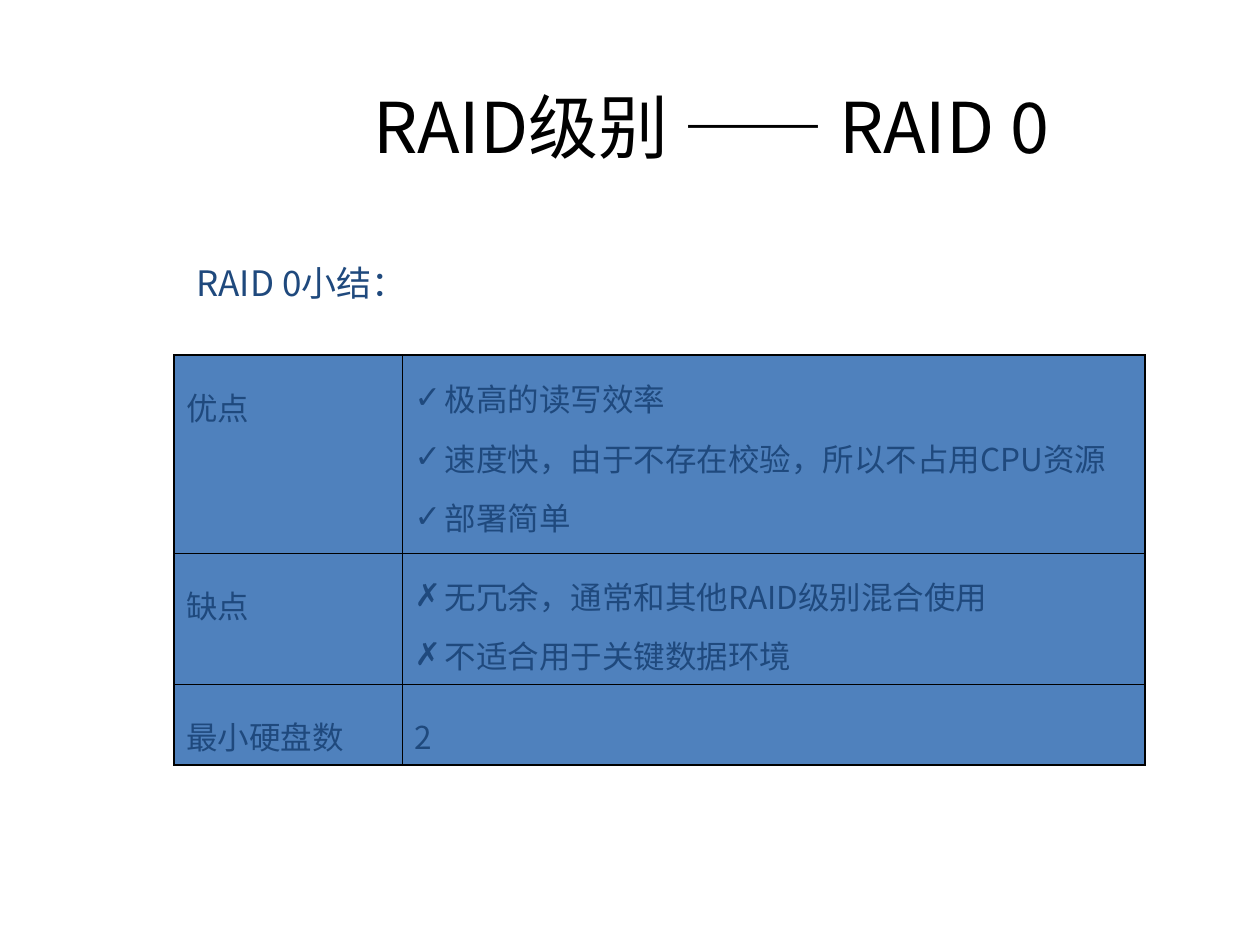
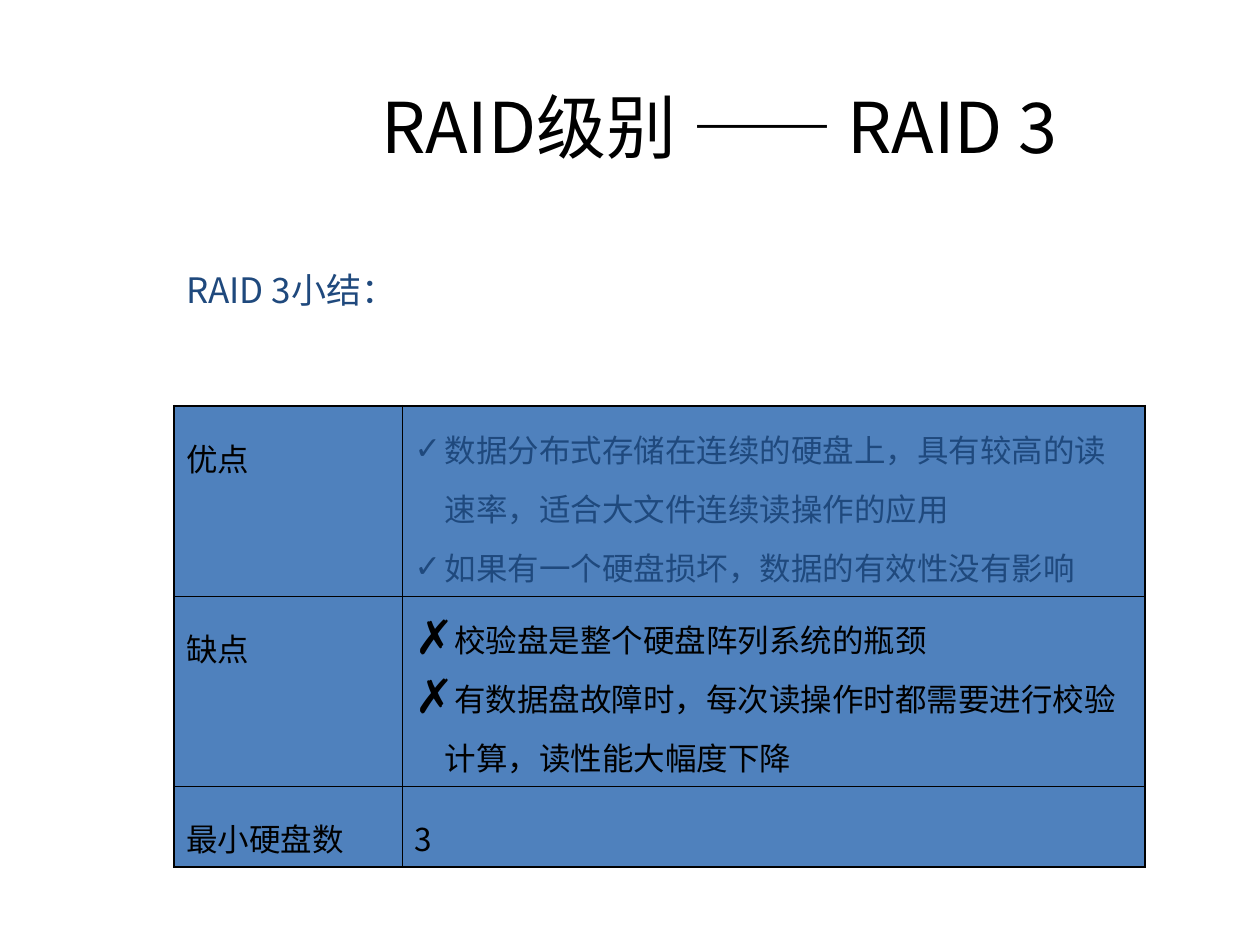
from pptx import Presentation
from pptx.dml.color import RGBColor
from pptx.enum.text import MSO_ANCHOR, PP_ALIGN
from pptx.oxml.ns import qn
from pptx.util import Inches, Pt
from lxml import etree

BLACK = RGBColor(0x00, 0x00, 0x00)
NAVY = RGBColor(0x1F, 0x49, 0x7D)
BLUE = RGBColor(0x4F, 0x81, 0xBD)
CJK_FONT = "Noto Sans CJK SC"
LATIN_FONT = "Calibri"
CENTER = PP_ALIGN.CENTER
MIDDLE = MSO_ANCHOR.MIDDLE
OUTER, INNER = 1.08, 0.45
COL_WIDTHS = (1.81, 5.9)
TABLE_LEFT = 1.38
BULLET_INDENT = 0.24
LABELS = ("优点", "缺点", "最小硬盘数")


def add_run(p, text, size, color, font=CJK_FONT):
    """Append a formatted run with Latin and East Asian fonts."""
    r = p.add_run()
    r.text = text
    r.font.size = Pt(size)
    r.font.color.rgb = color
    r.font.name = font
    etree.SubElement(r.font._element, qn("a:ea"), typeface=CJK_FONT)


def add_box(s, left, top, width, height, runs, size, color, align=None, anchor=None,
            right_inset=0.1):
    """Add a one-paragraph text box from (text, font) runs."""
    tf = s.shapes.add_textbox(*map(Inches, (left, top, width, height))).text_frame
    tf.word_wrap = True
    tf.margin_right = Inches(right_inset)
    tf.vertical_anchor = anchor
    p = tf.paragraphs[0]
    p.alignment = align
    for text, font in runs:
        add_run(p, text, size, color, font)


def add_title(s, level, right_inset):
    """Add the centred slide title for a RAID level."""
    runs = (("RAID级别 ", CJK_FONT), ("—— ", LATIN_FONT), (level, CJK_FONT))
    add_box(s, 1.53, 0.68, 8.47, 0.63, runs, 40, BLACK, CENTER, MIDDLE, right_inset)


def set_bullet(p, char, color, scale):
    """Give a paragraph a hanging bullet character."""
    pPr = p._p.get_or_add_pPr()
    pPr.set("marL", str(Inches(BULLET_INDENT)))
    pPr.set("indent", str(-Inches(BULLET_INDENT)))
    clr = etree.SubElement(pPr, qn("a:buClr"))
    etree.SubElement(clr, qn("a:srgbClr"), val=str(color))
    etree.SubElement(pPr, qn("a:buSzPct"), val=str(scale * 1000))
    etree.SubElement(pPr, qn("a:buFont"), typeface=LATIN_FONT)
    etree.SubElement(pPr, qn("a:buChar"), char=char)


def set_borders(cell, widths):
    """Draw black borders given as left, right, top and bottom widths."""
    tcPr = cell._tc.get_or_add_tcPr()
    for side, width in zip("LRTB", widths):
        ln = etree.SubElement(tcPr, qn(f"a:ln{side}"), w=str(Pt(width)))
        fill = etree.SubElement(ln, qn("a:solidFill"))
        etree.SubElement(fill, qn("a:srgbClr"), val=str(BLACK))


def fill_cell(cell, lines, color, bullet=None, scale=100):
    """Write a cell's lines, bulleted if a bullet is given."""
    tf = cell.text_frame
    for i, text in enumerate(lines):
        p = tf.add_paragraph() if i else tf.paragraphs[0]
        if bullet:
            set_bullet(p, bullet, color, scale)
        p.line_spacing = 1.3 if bullet else 1.5
        add_run(p, text, 18, color)


def add_summary_table(s, top, heights, pros, cons, disks, color, cons_scale):
    """Add the table of advantages, drawbacks and minimum disks."""
    shape = s.shapes.add_table(3, 2, Inches(TABLE_LEFT), Inches(top),
                               Inches(sum(COL_WIDTHS)), Inches(sum(heights)))
    table = shape.table
    table.first_row = table.horz_banding = False
    for col, width in zip(table.columns, COL_WIDTHS):
        col.width = Inches(width)
    for row, height in zip(table.rows, heights):
        row.height = Inches(height)
    for i, label in enumerate(LABELS):
        for j in range(2):
            cell = table.cell(i, j)
            edges = (j == 0, j == 1, i == 0, i == 2)
            set_borders(cell, [OUTER if edge else INNER for edge in edges])
            cell.fill.solid()
            cell.fill.fore_color.rgb = BLUE
        fill_cell(table.cell(i, 0), [label], color)
    fill_cell(table.cell(0, 1), pros, NAVY, "✓")
    fill_cell(table.cell(1, 1), cons, color, "✗", cons_scale)
    fill_cell(table.cell(2, 1), [disks], color)


def add_raid_slide(prs, level, title_inset, heading_at, **table):
    """Add one RAID summary slide."""
    s = prs.slides.add_slide(prs.slide_layouts[6])
    add_title(s, level, title_inset)
    add_summary_table(s, **table)
    add_box(s, *heading_at, 2.01, 0.44, [(f"{level}小结：", CJK_FONT)], 20, NAVY)


def main():
    """Build and save the presentation."""
    prs = Presentation()
    prs.slide_width, prs.slide_height = Inches(10), Inches(7.5)
    add_raid_slide(
        prs, "RAID 0", 0.34, (1.46, 2.03),
        top=2.82, heights=(1.57, 1.04, 0.64),
        pros=["极高的读写效率", "速度快，由于不存在校验，所以不占用CPU资源", "部署简单"],
        cons=["无冗余，通常和其他RAID级别混合使用", "不适合用于关键数据环境"],
        disks="2", color=NAVY, cons_scale=100)
    add_raid_slide(
        prs, "RAID 3", 0.21, (1.38, 2.08),
        top=3.22, heights=(1.51, 1.51, 0.64),
        pros=["数据分布式存储在连续的硬盘上，具有较高的读速率，适合大文件连续读操作的应用",
              "如果有一个硬盘损坏，数据的有效性没有影响"],
        cons=["校验盘是整个硬盘阵列系统的瓶颈",
              "有数据盘故障时，每次读操作时都需要进行校验计算，读性能大幅度下降"],
        disks="3", color=BLACK, cons_scale=150)
    prs.save("out.pptx")


if __name__ == "__main__":
    main()
